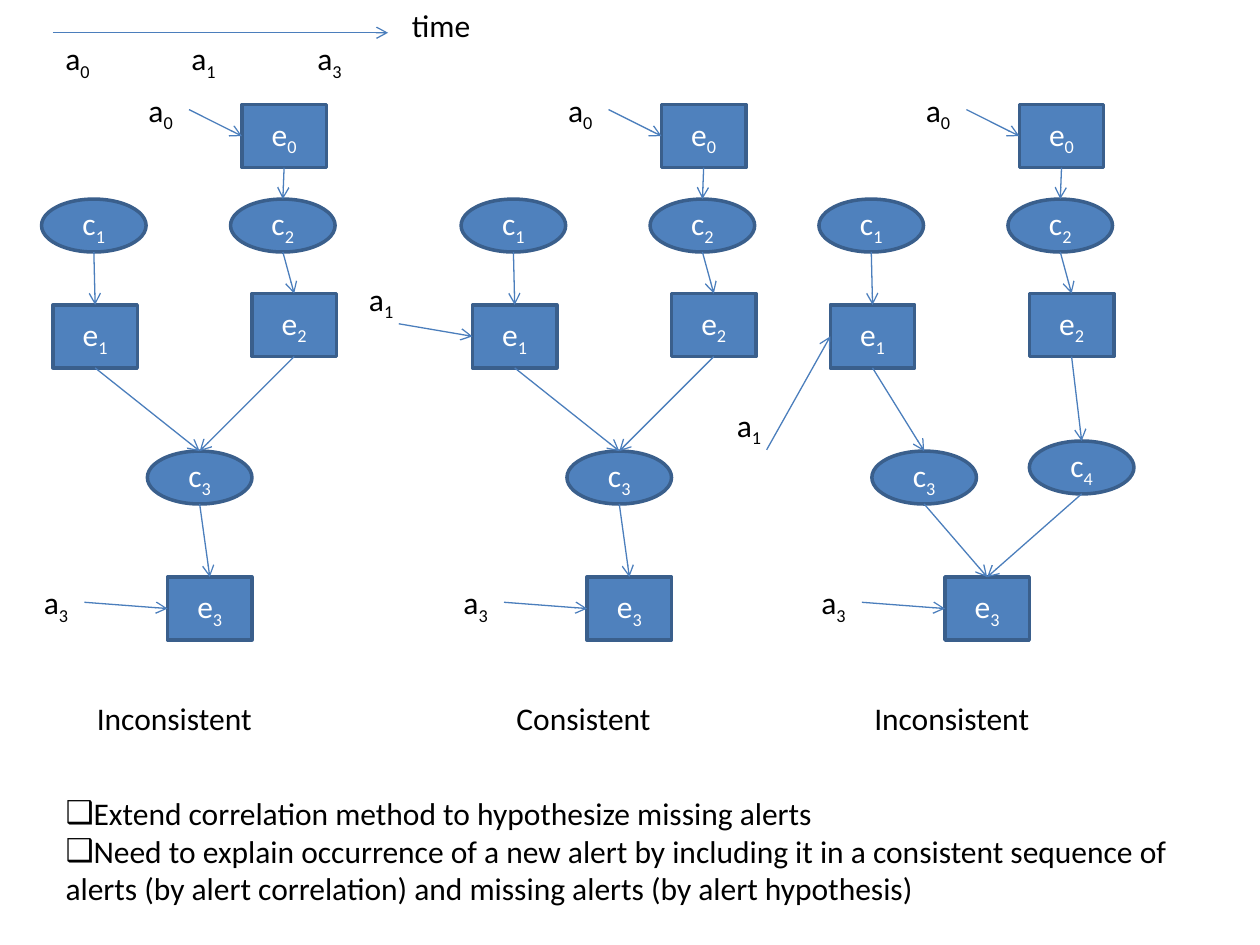
from pptx import Presentation
from pptx.dml.color import RGBColor
from pptx.enum import shapes, text
from pptx.oxml.ns import qn
from pptx.util import Inches, Pt
from lxml import etree

NODE_FILL = RGBColor(0x4F, 0x81, 0xBD)
NODE_EDGE = RGBColor(0x3A, 0x5F, 0x8C)
ARROW = RGBColor(0x4B, 0x7E, 0xBC)
BLACK = RGBColor(0, 0, 0)
WHITE = RGBColor(0xFF, 0xFF, 0xFF)

EVENT_SIZE = (0.67, 0.5)
CONDITION_SIZE = (0.83, 0.42)
LABEL_HEIGHT = 0.4

COMMON_NODES = {"e0": (1.67, 0.83), "e3": (1.08, 4.58), "e2": (1.75, 2.33),
                "e1": (0.17, 2.42), "c1": (0.08, 1.58), "c2": (1.58, 1.58)}
COMMON_LINKS = [("e0", "c2"), ("c2", "e2"), ("c1", "e1"), ("e1", "c3"), ("c3", "e3")]
MERGED = ({"c3": (0.92, 3.58)}, [("e2", "c3")])
SPLIT = ({"c3": (0.5, 3.58), "c4": (1.75, 3.5)}, [("e2", "c4"), ("c4", "e3")])

GRAPHS = [
    (0.25, "Inconsistent", MERGED, None),
    (3.58, "Consistent", MERGED, (-0.75, 2.17)),
    (6.42, "Inconsistent", SPLIT, (-0.67, 3.17)),
]
POINTS = [
    "Extend correlation method to hypothesize missing alerts",
    "Need to explain occurrence of a new alert by including it in a consistent "
    "sequence of alerts (by alert correlation) and missing alerts (by alert hypothesis)",
]


def style(paragraph, color):
    """Apply the slide's font to a paragraph."""
    paragraph.font.name = "Calibri"
    paragraph.font.size = Pt(18)
    paragraph.font.color.rgb = color


def add_symbol(paragraph, symbol, lead=""):
    """Write a letter followed by its subscript digit."""
    paragraph.add_run().text = lead + symbol[0]
    subscript = paragraph.add_run()
    subscript.text = symbol[1:]
    subscript._r.get_or_add_rPr().set("baseline", "-25000")


def add_label(slide, left, top, width):
    """Add an empty one-line text box and return its paragraph."""
    box = slide.shapes.add_textbox(Inches(left), Inches(top), Inches(width), Inches(LABEL_HEIGHT))
    box.text_frame.word_wrap = True
    return box.text_frame.paragraphs[0]


def add_arrow(slide, start, end):
    """Draw a thin arrow between two points."""
    arrow = slide.shapes.add_connector(
        shapes.MSO_CONNECTOR.STRAIGHT, *(Inches(value) for value in (*start, *end)))
    arrow.line.color.rgb = ARROW
    arrow.line.width = Pt(0.75)
    etree.SubElement(arrow.line._get_or_add_ln(), qn("a:tailEnd"), type="arrow")
    etree.SubElement(arrow._element.spPr, qn("a:effectLst"))


def add_node(slide, symbol, left, top):
    """Draw an event rectangle or a condition ellipse and return its box."""
    is_event = symbol[0] == "e"
    width, height = EVENT_SIZE if is_event else CONDITION_SIZE
    outline = shapes.MSO_SHAPE.RECTANGLE if is_event else shapes.MSO_SHAPE.OVAL
    node = slide.shapes.add_shape(
        outline, Inches(left), Inches(top), Inches(width), Inches(height))
    node.shadow.inherit = False
    node.fill.solid()
    node.fill.fore_color.rgb = NODE_FILL
    node.line.color.rgb = NODE_EDGE
    node.line.width = Pt(2)
    node.text_frame.vertical_anchor = text.MSO_ANCHOR.MIDDLE
    paragraph = node.text_frame.paragraphs[0]
    add_symbol(paragraph, symbol)
    paragraph.alignment = text.PP_ALIGN.CENTER
    style(paragraph, WHITE)
    return left, top, width, height


def add_alert(slide, symbol, left, top, width, event, from_below=False):
    """Label an alert and point it at the left side of its event."""
    paragraph = add_label(slide, left, top, width)
    add_symbol(paragraph, symbol)
    style(paragraph, BLACK)
    if from_below:
        start = (left + width / 2, top + LABEL_HEIGHT)
    else:
        start = (left + width, top + LABEL_HEIGHT / 2)
    add_arrow(slide, start, (event[0], event[1] + event[3] / 2))


def add_graph(slide, left, top, verdict, variant, a1_offset):
    """Draw one correlation graph with its alerts and verdict."""
    extra_nodes, extra_links = variant
    nodes = {symbol: add_node(slide, symbol, left + x, top + y)
             for symbol, (x, y) in {**COMMON_NODES, **extra_nodes}.items()}
    for source, target in COMMON_LINKS + extra_links:
        x1, y1, w1, h1 = nodes[source]
        x2, y2, w2, _ = nodes[target]
        add_arrow(slide, (x1 + w1 / 2, y1 + h1), (x2 + w2 / 2, y2))
    add_alert(slide, "a0", left + 0.83, top + 0.67, 0.42, nodes["e0"])
    add_alert(slide, "a3", left, top + 4.58, 0.42, nodes["e3"])
    if a1_offset:
        x, y = a1_offset
        add_alert(slide, "a1", left + x, top + y, 0.67, nodes["e1"], from_below=True)
    caption = add_label(slide, left + 0.42, top + 5.5, 1.92)
    caption.text = verdict
    style(caption, BLACK)


def add_timeline(slide, left, top):
    """Draw the time axis with the alerts spaced an inch apart."""
    alerts = add_label(slide, left, top + 0.26, 4.33)
    tabs = etree.SubElement(alerts._p.get_or_add_pPr(), qn("a:tabLst"))
    for stop in (1, 2):
        etree.SubElement(tabs, qn("a:tab"), pos=str(Inches(stop)), algn="l")
    for symbol, lead in (("a0", ""), ("a1", "\t"), ("a3", "\t")):
        add_symbol(alerts, symbol, lead)
    style(alerts, BLACK)
    add_arrow(slide, (left, top + 0.26), (left + 2.66, top + 0.26))
    axis_name = add_label(slide, left + 2.75, top, 1.58)
    axis_name.text = "time"
    style(axis_name, BLACK)


def fill_points(body, left, top, width, height):
    """Place the body placeholder and write the bulleted points."""
    body.left, body.top, body.width, body.height = map(Inches, (left, top, width, height))
    frame = body.text_frame
    frame.auto_size = text.MSO_AUTO_SIZE.NONE
    for index, point in enumerate(POINTS):
        paragraph = frame.add_paragraph() if index else frame.paragraphs[0]
        paragraph.text = point
        paragraph.space_before = Pt(0)
        properties = paragraph._p.get_or_add_pPr()
        properties.set("marL", "0")
        properties.set("indent", "0")
        etree.SubElement(properties, qn("a:buChar"), char="❑")
        style(paragraph, BLACK)


def main():
    """Build and save the slide."""
    deck = Presentation()
    deck.slide_width, deck.slide_height = Inches(10), Inches(7.5)
    slide = deck.slides.add_slide(deck.slide_layouts[1])
    title = slide.shapes.title._element
    title.getparent().remove(title)
    add_timeline(slide, 0.42, 0)
    for left, verdict, variant, a1_offset in GRAPHS:
        add_graph(slide, left, 0, verdict, variant, a1_offset)
    fill_points(slide.placeholders[1], 0.42, 6.25, 9.17, 1.01)
    deck.save("out.pptx")


if __name__ == "__main__":
    main()
